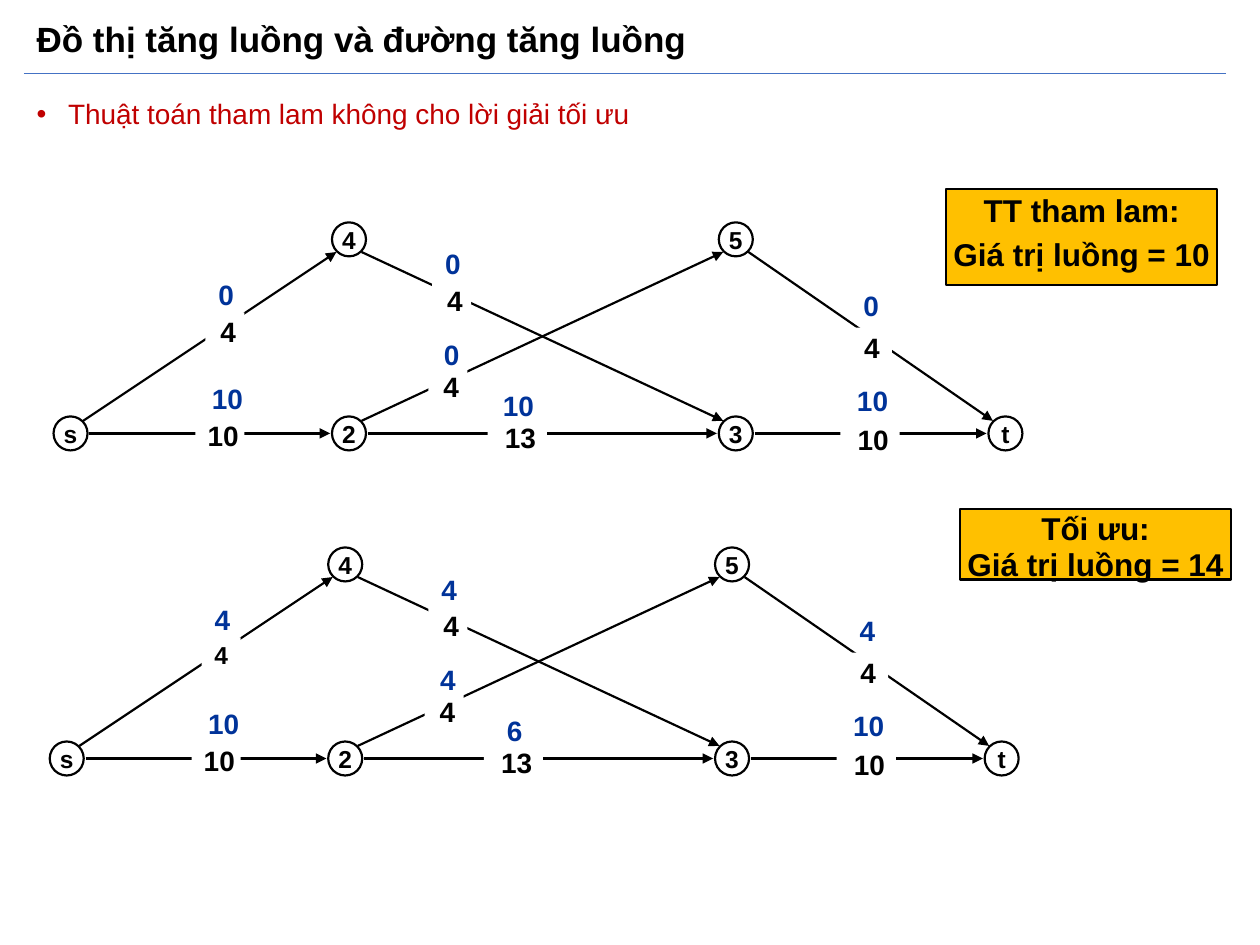
from dataclasses import dataclass

from lxml import etree
from pptx import Presentation
from pptx.dml.color import RGBColor
from pptx.enum.shapes import MSO_CONNECTOR, MSO_SHAPE
from pptx.enum.text import MSO_ANCHOR, MSO_AUTO_SIZE, PP_ALIGN
from pptx.oxml.ns import qn
from pptx.util import Inches, Pt

STRAIGHT = MSO_CONNECTOR.STRAIGHT
OVAL, RECTANGLE = MSO_SHAPE.OVAL, MSO_SHAPE.RECTANGLE
TOP, MIDDLE = MSO_ANCHOR.TOP, MSO_ANCHOR.MIDDLE
LEFT, CENTER, JUSTIFY = PP_ALIGN.LEFT, PP_ALIGN.CENTER, PP_ALIGN.JUSTIFY


@dataclass(frozen=True)
class Theme:
    font: str = "Arial"
    black: RGBColor = RGBColor(0, 0, 0)
    white: RGBColor = RGBColor(255, 255, 255)
    rule: RGBColor = RGBColor(0x44, 0x72, 0xC4)
    bullet: RGBColor = RGBColor(0xC0, 0, 0)
    flow: RGBColor = RGBColor(0, 0x33, 0x99)
    callout: RGBColor = RGBColor(0xFF, 0xC0, 0)
    title_size: int = 20
    callout_size: int = 18
    body_size: int = 16
    node_size: int = 14


THEME = Theme()


def write(shape, text, size, color, bold=True, align=CENTER, anchor=TOP, insets=(0, 0.02, 0, 0)):
    """Fill a shape with formatted text; insets are left, top, right, bottom in inches."""
    frame = shape.text_frame
    frame.text = text
    frame.word_wrap = True
    frame.auto_size = MSO_AUTO_SIZE.NONE
    frame.vertical_anchor = anchor
    frame.margin_left, frame.margin_top, frame.margin_right, frame.margin_bottom = map(Inches, insets)
    for para in frame.paragraphs:
        para.alignment = align
        para.space_before = Pt(0)
        for span in para.runs:
            span.font.name = THEME.font
            span.font.size = Pt(size)
            span.font.bold = bold
            span.font.color.rgb = color
    return frame


def draw_line(shapes, start, end, color, width, arrow=False):
    line = shapes.add_connector(STRAIGHT, *map(Inches, start + end))
    line.line.color.rgb = color
    line.line.width = Pt(width)
    if arrow:
        etree.SubElement(line.line._get_or_add_ln(), qn("a:tailEnd"), type="triangle")
    etree.SubElement(line._element.spPr, qn("a:effectLst"))


deck = Presentation()
deck.slide_width, deck.slide_height = Inches(10), Inches(7.5)
page = deck.slides.add_slide(deck.slide_layouts[1])

# Title, rule and bullet
title, body = page.placeholders
title.left, title.top, title.width, title.height = map(Inches, (0.19, 0.08, 8.62, 0.5))
frame = write(title, "Đồ thị tăng luồng và đường tăng luồng", THEME.title_size, THEME.black,
              align=LEFT, anchor=MIDDLE, insets=(0.1, 0.05, 0.1, 0.05))
frame.paragraphs[0].line_spacing = 0.9

draw_line(page.shapes, (0.19, 0.58), (9.73, 0.58), THEME.rule, 0.5)

body.left, body.top, body.width, body.height = map(Inches, (0.19, 0.75, 9.54, 3.39))
frame = write(body, "Thuật toán tham lam không cho lời giải tối ưu", THEME.body_size, THEME.bullet,
              bold=False, align=JUSTIFY, insets=(0.1, 0.05, 0.1, 0.05))
para = frame.paragraphs[0]
para.line_spacing = 0.9
properties = para._p.get_or_add_pPr()
properties.set("marL", str(Inches(0.25)))
properties.set("indent", str(Inches(-0.25)))
etree.SubElement(properties, qn("a:buFont"), typeface=THEME.font)
etree.SubElement(properties, qn("a:buChar"), char="•")

# Network shared by both flows; positions are those of the upper graph
UPPER, LOWER = 1.9, 3.44
NODES = {"s": (0.56, LOWER), "4": (2.77, UPPER), "2": (2.77, LOWER),
         "5": (5.84, UPPER), "3": (5.84, LOWER), "t": (7.98, LOWER)}
NODE_SIZE = 0.27
# from, to, capacity, capacity box (left, top, width, left inset), flow box (left, top)
EDGES = [
    ("s", "4", "4", (1.63, 2.48, 0.31, 0.05), (1.61, 2.18)),
    ("s", "2", "10", (1.55, 3.3, 0.39, 0.05), (1.62, 3.01)),
    ("2", "3", "13", (3.87, 3.32, 0.47, 0.05), (3.93, 3.06)),
    ("2", "5", "4", (3.4, 2.91, 0.31, 0.05), (3.4, 2.66)),
    ("4", "3", "4", (3.43, 2.23, 0.31, 0.05), (3.41, 1.94)),
    ("5", "t", "4", (6.62, 2.6, 0.46, 0.14), (6.73, 2.27)),
    ("3", "t", "10", (6.67, 3.33, 0.47, 0.05), (6.74, 3.02)),
]
# shift right, shift down, flow along each edge, whether the s-4 capacity is small
GRAPHS = [
    (0, 0, ["0", "10", "10", "0", "0", "0", "10"], False),
    (-0.03, 2.58, ["4", "10", "6", "4", "4", "4", "10"], True),
]

for right, down, flows, small_first in GRAPHS:
    graph = page.shapes.add_group_shape().shapes

    for name, (x, y) in NODES.items():
        node = graph.add_shape(OVAL, Inches(x + right - NODE_SIZE / 2), Inches(y + down - NODE_SIZE / 2),
                               Inches(NODE_SIZE), Inches(NODE_SIZE))
        node.shadow.inherit = False
        node.fill.background()
        node.line.color.rgb = THEME.black
        node.line.width = Pt(1.25)
        frame = write(node, name, THEME.node_size, THEME.black, anchor=MIDDLE,
                      insets=(0.1, 0.05, 0.1, 0.05))
        frame.word_wrap = False

    for source, target, *_ in EDGES:
        (x1, y1), (x2, y2) = NODES[source], NODES[target]
        rise = 0.1 * ((y2 > y1) - (y2 < y1))
        gap = 0.1 if rise else 0.15
        draw_line(graph, (x1 + gap + right, y1 + rise + down),
                  (x2 - gap + right, y2 - rise + down), THEME.black, 1.25, arrow=True)

    for index, (_, _, capacity, (x, y, width, inset), flow_at) in enumerate(EDGES):
        small = small_first and index == 0
        box = graph.add_shape(RECTANGLE, Inches(x + right), Inches(y + down),
                              Inches(width), Inches(0.23 if small else 0.27))
        box.shadow.inherit = False
        box.fill.solid()
        box.fill.fore_color.rgb = THEME.white
        box.line.fill.background()
        write(box, capacity, THEME.node_size if small else THEME.body_size, THEME.black,
              insets=(0 if small else inset, 0.02, 0, 0))

        box = graph.add_textbox(Inches(flow_at[0] + right), Inches(flow_at[1] + down),
                                Inches(0.37), Inches(0.19))
        write(box, flows[index], THEME.body_size, THEME.flow)

# Flow values
CALLOUTS = [
    ("TT tham lam:\nGiá trị luồng = 10", 7.51, 1.5, 0.76, 1, 3),
    ("Tối ưu:\nGiá trị luồng = 14", 7.62, 4.04, 0.56, 0.95, 0),
]
for text, left, top, height, spacing, gap in CALLOUTS:
    callout = page.shapes.add_shape(RECTANGLE, Inches(left), Inches(top), Inches(2.15), Inches(height))
    callout.shadow.inherit = False
    callout.fill.solid()
    callout.fill.fore_color.rgb = THEME.callout
    callout.line.color.rgb = THEME.black
    callout.line.width = Pt(1.25)
    frame = write(callout, text, THEME.callout_size, THEME.black)
    for para in frame.paragraphs:
        para.line_spacing = spacing
    frame.paragraphs[1].space_before = Pt(gap)

deck.save("out.pptx")
